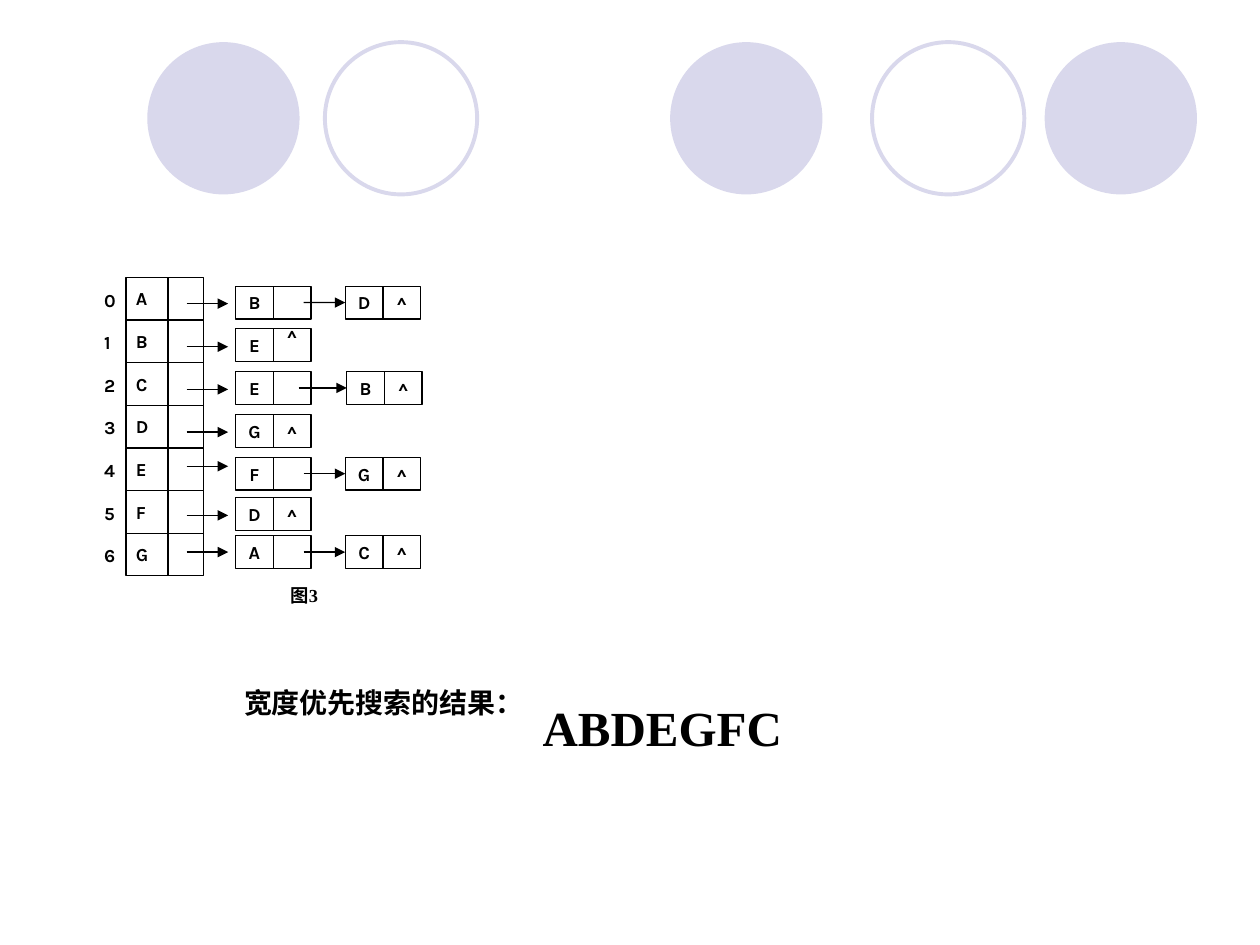
from lxml.etree import SubElement
from pptx import Presentation
from pptx.dml.color import RGBColor
from pptx.enum.shapes import MSO_CONNECTOR as Connector, MSO_SHAPE as Shape
from pptx.enum.text import MSO_ANCHOR as Anchor, PP_ALIGN as Align
from pptx.oxml.ns import qn
from pptx.util import Cm, Pt

COLORS = {"ink": "000000", "circle": "D9D8EC", "paper": "FFFFFF"}
LABEL_FONT, TEXT_FONT = "Karla", "Times New Roman"

ROW_HEIGHT = 0.86
NODE_WIDTH, NODE_HEIGHT = 0.76, 0.66
FIRST_NODE, SECOND_NODE = 2.85, 5.06
# vertex, node top, arrow height, neighbours
ADJACENCY = [
    ("A", 0.18, 0.53, "BD"),
    ("B", 1.04, 1.4, "E"),
    ("C", 1.9, 2.26, "EB"),
    ("D", 2.77, 3.12, "G"),
    ("E", 3.63, 3.81, "FG"),
    ("F", 4.44, 4.8, "D"),
    ("G", 5.21, 5.54, "AC"),
]


def color(name):
    return RGBColor.from_string(COLORS[name])


def write(box, text, size, font, align=None):
    frame = box.text_frame
    frame.text = text
    para = frame.paragraphs[0]
    para.alignment = align
    for span in para.runs:
        span.font.size = Pt(size)
        span.font.name = font
        span.font.bold = True
        span.font.color.rgb = color("ink")
    return para


def set_insets(frame):
    frame.margin_left = frame.margin_right = Cm(0.2)
    frame.margin_top = frame.margin_bottom = Cm(0.1)
    frame.word_wrap = True


def add_outline(page, kind, left, top, width, height, line, weight):
    box = page.shapes.add_shape(kind, Cm(left), Cm(top), Cm(width), Cm(height))
    box.shadow.inherit = False
    box.fill.background()
    box.line.color.rgb = color(line)
    box.line.width = Pt(weight)
    return box


def add_cell(page, left, top, width, height, text="", align=Align.CENTER):
    cell = add_outline(page, Shape.RECTANGLE, left, top, width, height, "ink", 0.75)
    set_insets(cell.text_frame)
    cell.text_frame.vertical_anchor = Anchor.MIDDLE
    if text:
        write(cell, text, 10.5, LABEL_FONT, align)
    return cell


def add_arrow(page, start, end, y):
    arrow = page.shapes.add_connector(
        Connector.STRAIGHT, Cm(start), Cm(y), Cm(end), Cm(y))
    arrow.line.color.rgb = color("ink")
    arrow.line.width = Pt(0.75)
    SubElement(arrow.line._get_or_add_ln(), qn("a:tailEnd"), type="triangle")
    SubElement(arrow._element.spPr, qn("a:effectLst"))
    return arrow


def add_text(page, left, top, width, height, text, size, font, align=None):
    box = page.shapes.add_textbox(Cm(left), Cm(top), Cm(width), Cm(height))
    box.text_frame.word_wrap = True
    write(box, text, size, font, align)
    return box


def add_circles(page, top, size):
    for left, filled in [(13.51, True), (21.06, True), (2.97, True),
                         (17.58, False), (6.55, False)]:
        circle = add_outline(page, Shape.OVAL, left, top, size, size, "circle", 2.25)
        if filled:
            circle.fill.solid()
            circle.fill.fore_color.rgb = color("circle")
            circle.line.fill.background()


def add_node(page, left, top, vertex, last):
    first = add_cell(page, left, top, NODE_WIDTH, NODE_HEIGHT, vertex)
    pointer = add_cell(page, left + NODE_WIDTH, top, NODE_WIDTH, NODE_HEIGHT,
                       "^" if last else "")
    return first, pointer


def add_adjacency_list(page, left, top):
    for index, (vertex, node_top, arrow_y, neighbours) in enumerate(ADJACENCY):
        row_top = top + index * ROW_HEIGHT
        label = add_text(page, left, row_top + 0.13, 0.64, 0.76, str(index),
                         10.5, LABEL_FONT, Align.JUSTIFY)
        set_insets(label.text_frame)
        add_cell(page, left + 0.64, row_top, 0.85, ROW_HEIGHT, vertex, Align.JUSTIFY)
        add_cell(page, left + 1.49, row_top, 0.71, ROW_HEIGHT)

        node_y = top + node_top
        pointer = add_node(page, left + FIRST_NODE, node_y, neighbours[0],
                           len(neighbours) == 1)[1]
        if vertex == "B":
            pointer.text_frame.vertical_anchor = Anchor.TOP
            pointer.text_frame.margin_top = Cm(-0.1)
        add_arrow(page, left + 1.86, left + 2.7, top + arrow_y)

        if len(neighbours) == 2:
            start, end = (4.12, 5.09) if vertex == "C" else (4.22, SECOND_NODE)
            target = add_node(page, left + end, node_y, neighbours[1], True)[0]
            link = add_arrow(page, left + start, left + end, node_y + NODE_HEIGHT / 2)
            link.end_connect(target, 1)

    caption = page.shapes.add_shape(
        Shape.RECTANGLE, Cm(left + 3.71), Cm(top + 6.07), Cm(1.68), Cm(0.84))
    caption.shadow.inherit = False
    caption.fill.solid()
    caption.fill.fore_color.rgb = color("paper")
    caption.line.fill.background()
    caption.text_frame.vertical_anchor = Anchor.TOP
    write(caption, "图3", 10.5, TEXT_FONT, Align.JUSTIFY)


def add_result(page, left, top):
    heading = add_text(page, left, top, 13.89, 1.14, "宽度优先搜索的结果：",
                       16, TEXT_FONT)
    para = heading.text_frame.paragraphs[0]
    para.line_spacing = 1.5
    para._p.get_or_add_pPr().set("marL", str(Cm(1.27)))
    answer = add_text(page, left + 7.29, top + 0.58, 5.38, 1.45, "ABDEGFC",
                      28, TEXT_FONT)
    answer.text_frame.word_wrap = False


def main():
    deck = Presentation()
    deck.slide_width, deck.slide_height = Cm(25.4), Cm(19.05)
    page = deck.slides.add_slide(deck.slide_layouts[6])
    add_circles(page, 0.85, 3.07)
    add_adjacency_list(page, 1.9, 5.59)
    add_result(page, 3.4, 13.36)
    deck.save("out.pptx")


if __name__ == "__main__":
    main()
